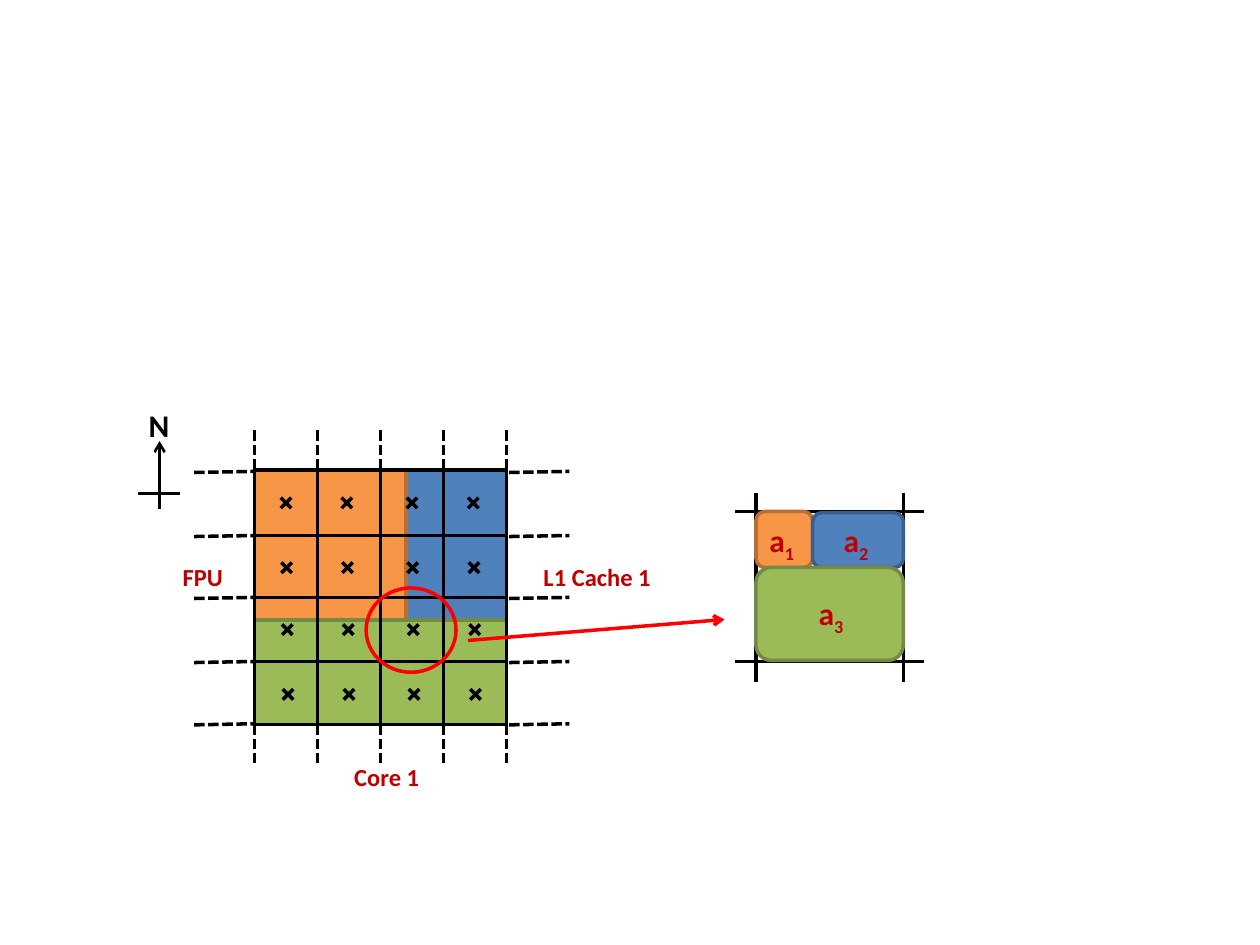
from pptx import Presentation
from pptx.dml.color import RGBColor
from pptx.enum.dml import MSO_LINE_DASH_STYLE as Dash
from pptx.enum.shapes import MSO_CONNECTOR as Connector, MSO_SHAPE as Shape
from pptx.enum.text import MSO_AUTO_SIZE as AutoSize, PP_ALIGN as Align
from pptx.oxml.ns import qn
from pptx.util import Pt
from lxml.etree import SubElement

BLACK = RGBColor(0x00, 0x00, 0x00)
RED = RGBColor(0xFF, 0x00, 0x00)
DARK_RED = RGBColor(0xC0, 0x00, 0x00)
BLUE = RGBColor(0x4F, 0x81, 0xBD)
BLUE_EDGE = RGBColor(0x3A, 0x5F, 0x8C)
ORANGE = RGBColor(0xF7, 0x96, 0x46)
ORANGE_EDGE = RGBColor(0xB7, 0x6F, 0x34)
GREEN = RGBColor(0x9B, 0xBB, 0x59)
GREEN_EDGE = RGBColor(0x73, 0x8A, 0x42)


class Canvas:
    font_name = "Calibri"
    line_width = 2

    def __init__(self, slide):
        self.slide = slide

    def area(self, kind, left, top, width, height, fill=None, edge=BLACK):
        shape = self.slide.shapes.add_shape(kind, Pt(left), Pt(top), Pt(width), Pt(height))
        shape.shadow.inherit = False
        if fill is None:
            shape.fill.background()
        else:
            shape.fill.solid()
            shape.fill.fore_color.rgb = fill
        shape.line.color.rgb = edge
        shape.line.width = Pt(self.line_width)

    def line(self, x1, y1, x2, y2, color=BLACK, width=line_width, dash=None, arrow=False, parent=None):
        shapes = (parent or self.slide).shapes
        connector = shapes.add_connector(Connector.STRAIGHT, Pt(x1), Pt(y1), Pt(x2), Pt(y2))
        connector.line.color.rgb = color
        connector.line.width = Pt(width)
        if dash:
            connector.line.dash_style = dash
        if arrow:
            SubElement(connector.line._get_or_add_ln(), qn("a:tailEnd"), type="arrow")
        SubElement(connector._element.spPr, qn("a:effectLst"))

    def cross(self, x, y, arm=3):
        group = self.slide.shapes.add_group_shape()
        self.line(x + arm, y - arm, x - arm, y + arm, parent=group)
        self.line(x + arm, y + arm, x - arm, y - arm, parent=group)

    def label(self, text, left, top, width, height, size=14, color=DARK_RED,
              align=Align.CENTER, subscript="", wrap=False):
        box = self.slide.shapes.add_textbox(Pt(left), Pt(top), Pt(width), Pt(height))
        frame = box.text_frame
        frame.word_wrap = wrap
        frame.auto_size = AutoSize.SHAPE_TO_FIT_TEXT
        paragraph = frame.paragraphs[0]
        paragraph.alignment = align
        for part, baseline in ((text, None), (subscript, "-25000")):
            if not part:
                continue
            run = paragraph.add_run()
            run.text = part
            run.font.name = self.font_name
            run.font.size = Pt(size)
            run.font.bold = True
            run.font.color.rgb = color
            if baseline:
                run._r.get_or_add_rPr().set("baseline", baseline)


def draw_core_grid(canvas):
    left, top, right, bottom = 145.4, 268.6, 289.4, 414
    split_x, split_y = 232, 354.2
    columns = [left + 36 * i for i in range(5)]
    rows = [269.4, 306, 341.4, 378, 413.6]

    canvas.area(Shape.RECTANGLE, split_x, top, right - split_x, split_y - top, BLUE, BLUE_EDGE)
    canvas.area(Shape.RECTANGLE, left, top, split_x - left, split_y - top, ORANGE, ORANGE_EDGE)
    canvas.area(Shape.RECTANGLE, left, split_y, right - left, bottom - split_y, GREEN, GREEN_EDGE)
    canvas.area(Shape.RECTANGLE, left, top, right - left, bottom - top)
    for x in columns[1:-1]:
        canvas.line(x, top, x, bottom)
    for y in rows[1:-1]:
        canvas.line(left, y, right, y)

    for row, y in enumerate((287.4, 324.4, 359.8, 396.8)):
        for x in (163.4, 198.2, 235.4, 270.5):
            canvas.cross(x + 0.4 * row, y)

    for start in (110.9, 290.9):
        for y in rows:
            canvas.line(start, y + 0.6, start + 34.5, y, dash=Dash.SQUARE_DOT)
    for start in (bottom, 246):
        for x in columns:
            canvas.line(x, start, x, start + 24, dash=Dash.SQUARE_DOT)

    canvas.label("FPU", 97.2, 317.5, 37.4, 24.2)
    canvas.label("L1 Cache 1", 303.1, 317.5, 76.3, 24.2)
    canvas.label("Core 1", 195.1, 432, 51.8, 24.2)


def draw_compass(canvas):
    canvas.line(91.2, 291, 91.2, 252, width=1.5, arrow=True)
    canvas.line(103, 282, 79, 282, width=1.5)
    canvas.label("N", 77.8, 228.4, 25.9, 29.1, size=18, color=BLACK, align=Align.LEFT)


def draw_cell_detail(canvas):
    canvas.area(Shape.OVAL, 209.2, 336, 51.4, 48.2, edge=RED)
    canvas.line(267.4, 366, 414, 354, color=RED, arrow=True)

    left, top, right, bottom = 432, 292.2, 516.2, 378
    for y in (top, bottom):
        canvas.line(left - 12, y, right + 12, y)
    for x in (left, right):
        canvas.line(x, bottom + 12, x, top - 10.5)

    canvas.area(Shape.ROUNDED_RECTANGLE, left, top, 32.4, 32.2, ORANGE, ORANGE_EDGE)
    canvas.area(Shape.ROUNDED_RECTANGLE, 464.4, 293, 51.8, 31.4, BLUE, BLUE_EDGE)
    canvas.area(Shape.ROUNDED_RECTANGLE, left, 324.2, right - left, 53.2, GREEN, GREEN_EDGE)
    canvas.label("a", 460.1, 336, 29.5, 29.1, size=18, subscript="3")
    canvas.label("a", left, 294, 29.5, 29.1, size=18, subscript="1")
    canvas.label("a", 462.2, 294, 54, 29.1, size=18, subscript="2", wrap=True)


def main():
    presentation = Presentation()
    presentation.slide_width, presentation.slide_height = Pt(720), Pt(540)
    canvas = Canvas(presentation.slides.add_slide(presentation.slide_layouts[6]))
    draw_core_grid(canvas)
    draw_compass(canvas)
    draw_cell_detail(canvas)
    presentation.save("out.pptx")


if __name__ == "__main__":
    main()
